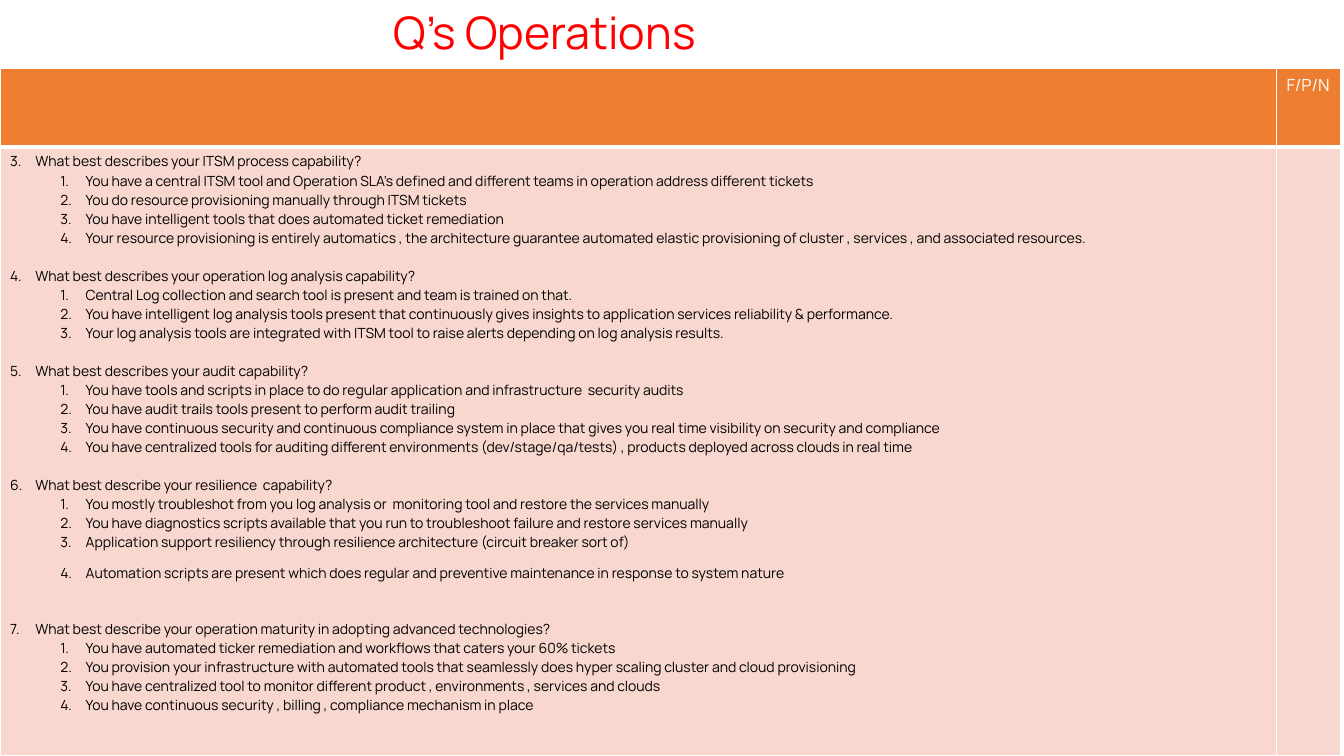
from lxml.etree import SubElement
from pptx import Presentation
from pptx.dml.color import RGBColor
from pptx.enum.text import MSO_ANCHOR, MSO_AUTO_SIZE, PP_ALIGN
from pptx.oxml.ns import qn
from pptx.util import Inches, Pt

TOP = MSO_ANCHOR.TOP
GROW = MSO_AUTO_SIZE.SHAPE_TO_FIT_TEXT
CENTER = PP_ALIGN.CENTER

FONT = "Manrope"
RED, WHITE, BLACK = "FF0000", "FFFFFF", "000000"
ORANGE, PEACH = "ED7D31", "F8D7CE"
TITLE_ONLY = 5
COLUMNS = [12.66, 0.64]
ROWS = [0.78, 6.04]
HANGING = 0.25
FIRST_NUMBER = 3
LINE_GAP = 13.6
WIDE_GAP = 26.4
LAST_RESILIENCE_GAP = 8.6

QUESTIONS = [
    ("What best describes your ITSM process capability?", [
        "You have a central ITSM tool and Operation SLA’s defined and different teams in operation address different tickets",
        "You do resource provisioning manually through ITSM tickets",
        "You have intelligent tools that does automated ticket remediation",
        "Your resource provisioning is entirely automatics , the architecture guarantee automated elastic provisioning of cluster , services , and associated resources.",
    ]),
    ("What best describes your operation log analysis capability?", [
        "Central Log collection and search tool is present and team is trained on that.",
        "You have intelligent log analysis tools present that continuously gives insights to application services reliability & performance.",
        "Your log analysis tools are integrated with ITSM tool to raise alerts depending on log analysis results.",
    ]),
    ("What best describes your audit capability?", [
        "You have tools and scripts in place to do regular application and infrastructure  security audits",
        "You have audit trails tools present to perform audit trailing",
        "You have continuous security and continuous compliance system in place that gives you real time visibility on security and compliance",
        "You have centralized tools for auditing different environments (dev/stage/qa/tests) , products deployed across clouds in real time",
    ]),
    ("What best describe your resilience  capability?", [
        "You mostly troubleshot from you log analysis or  monitoring tool and restore the services manually",
        "You have diagnostics scripts available that you run to troubleshoot failure and restore services manually",
        "Application support resiliency through resilience architecture (circuit breaker sort of)",
        "Automation scripts are present which does regular and preventive maintenance in response to system nature",
    ]),
    ("What best describe your operation maturity in adopting advanced technologies?", [
        "You have automated ticker remediation and workflows that caters your 60% tickets",
        "You provision your infrastructure with automated tools that seamlessly does hyper scaling cluster and cloud provisioning",
        "You have centralized tool to monitor different product , environments , services and clouds",
        "You have continuous security , billing , compliance mechanism in place",
    ]),
]
QUESTION_GAPS = [0, LINE_GAP, LINE_GAP, LINE_GAP, WIDE_GAP]
ANSWER_GAPS = {(3, 3): LAST_RESILIENCE_GAP}


def color(value):
    return RGBColor.from_string(value)


def add_span(para, text, size, ink):
    span = para.add_run()
    span.text = text
    span.font.name = FONT
    span.font.size = Pt(size)
    span.font.color.rgb = color(ink)


def number_para(para, level, start, gap):
    para.level = level
    para.space_before = Pt(gap)
    properties = para._p.get_or_add_pPr()
    properties.set("marL", str(Inches(HANGING + 0.5 * level)))
    properties.set("indent", str(-Inches(HANGING)))
    bullet_font = SubElement(properties, qn("a:buFont"))
    bullet_font.set("typeface", "+mj-lt")
    numbering = SubElement(properties, qn("a:buAutoNum"))
    numbering.set("type", "arabicPeriod")
    if start > 1:
        numbering.set("startAt", str(start))


def add_border(cell, side, width):
    properties = cell._tc.get_or_add_tcPr()
    line = SubElement(properties, qn("a:" + side), w=str(Pt(width)))
    fill = SubElement(line, qn("a:solidFill"))
    SubElement(fill, qn("a:srgbClr"), val=WHITE)


def format_cell(cell, fill, bottom):
    for side, width in (("lnL", 1), ("lnR", 1), ("lnT", 1), ("lnB", bottom)):
        add_border(cell, side, width)
    cell.fill.solid()
    cell.fill.fore_color.rgb = color(fill)


def add_title(page):
    title = page.shapes.title
    title.left, title.top = Inches(0.83), 0
    title.width, title.height = Inches(9.15), Inches(0.91)
    frame = title.text_frame
    frame.word_wrap = True
    frame.auto_size = GROW
    frame.vertical_anchor = TOP
    para = frame.paragraphs[0]
    para.alignment = CENTER
    para.line_spacing = 1.0
    para.space_before = Pt(0)
    add_span(para, "Q’s Operations", 32, RED)


def add_question_table(page):
    table = page.shapes.add_table(
        len(ROWS), len(COLUMNS), 0, Inches(0.68),
        Inches(sum(COLUMNS)), Inches(sum(ROWS))).table
    table.first_row = False
    table.horz_banding = False
    for column, width in zip(table.columns, COLUMNS):
        column.width = Inches(width)
    for row, height, fill, bottom in zip(table.rows, ROWS, (ORANGE, PEACH), (3, 1)):
        row.height = Inches(height)
        for cell in row.cells:
            format_cell(cell, fill, bottom)
    return table


def fill_questions(frame):
    para = frame.paragraphs[0]
    for index, (question, answers) in enumerate(QUESTIONS):
        if index:
            para = frame.add_paragraph()
        number_para(para, 0, FIRST_NUMBER + index, QUESTION_GAPS[index])
        add_span(para, question, 10, BLACK)
        for position, answer in enumerate(answers):
            para = frame.add_paragraph()
            number_para(para, 1, 1, ANSWER_GAPS.get((index, position), 0))
            add_span(para, answer, 10, BLACK)


def main():
    deck = Presentation()
    deck.slide_width, deck.slide_height = Inches(13.33), Inches(7.5)
    page = deck.slides.add_slide(deck.slide_layouts[TITLE_ONLY])
    add_title(page)
    table = add_question_table(page)
    add_span(table.cell(0, 1).text_frame.paragraphs[0], "F/P/N", 12, WHITE)
    fill_questions(table.cell(1, 0).text_frame)
    deck.save("out.pptx")


if __name__ == "__main__":
    main()
